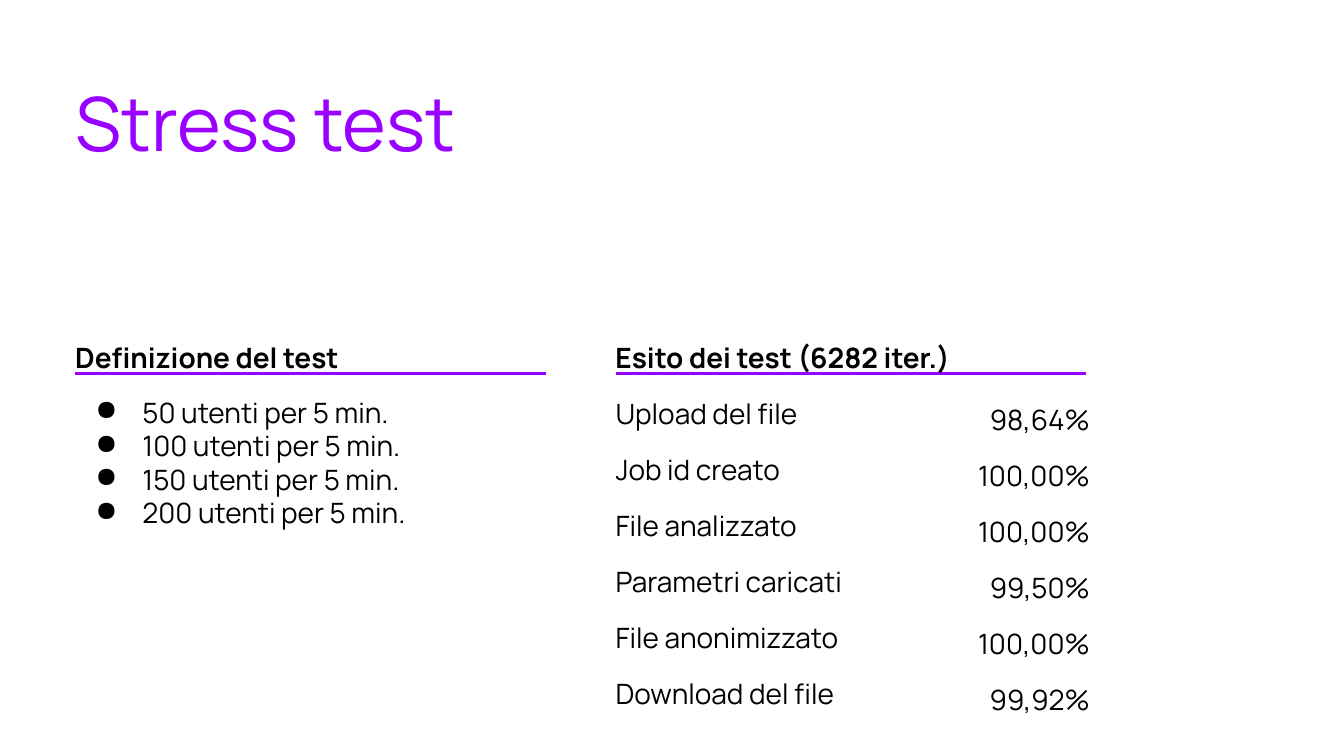
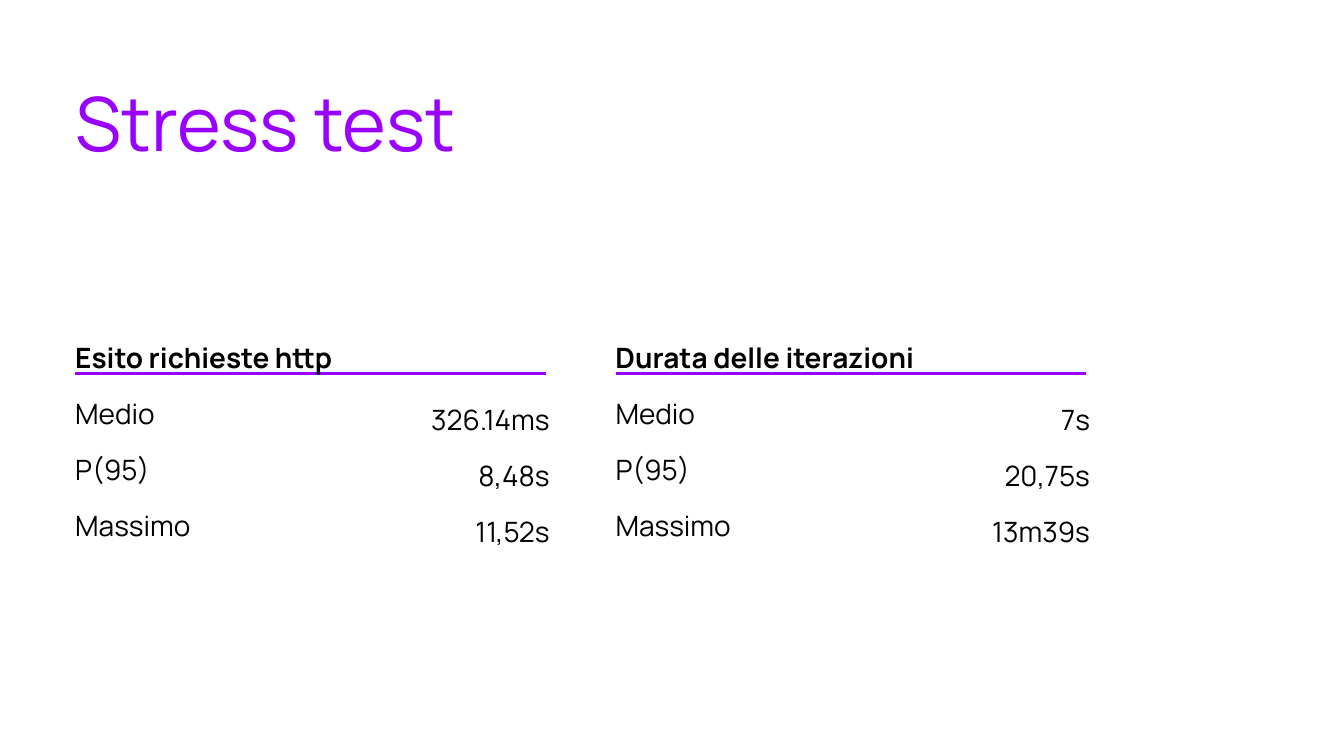
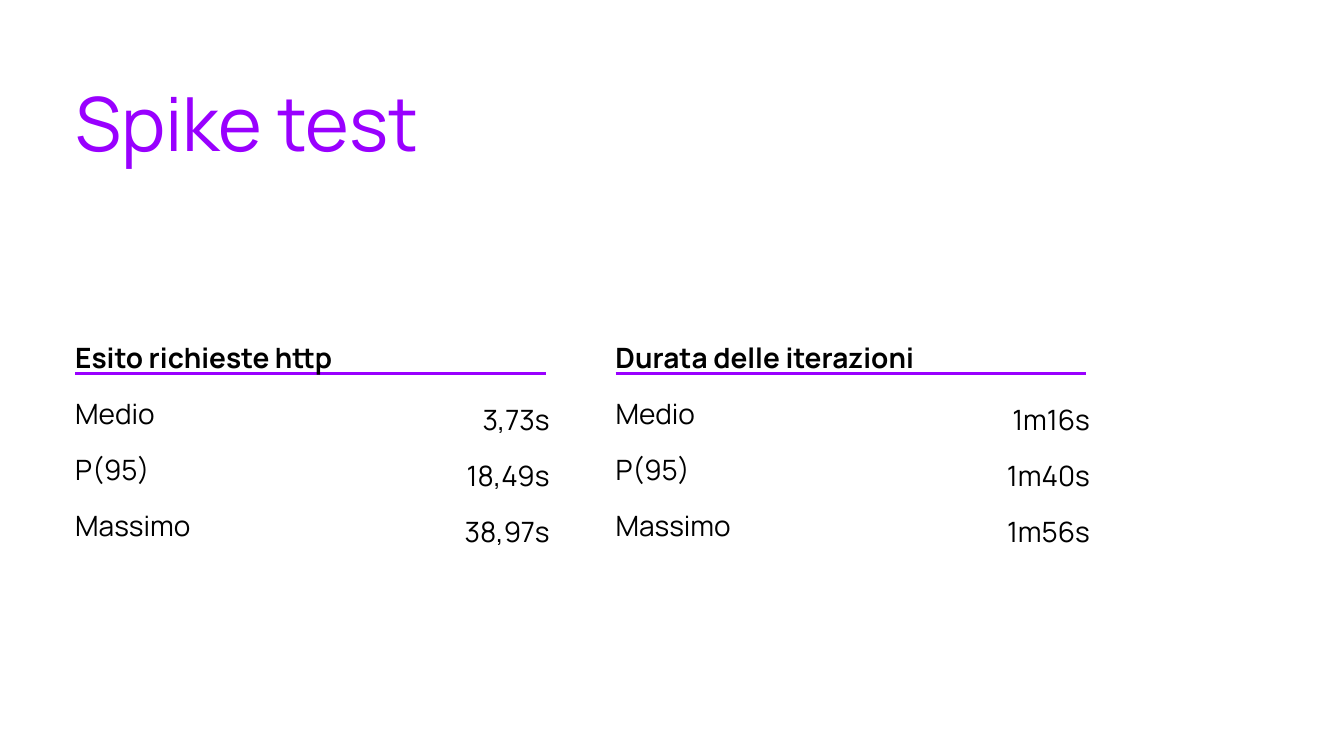
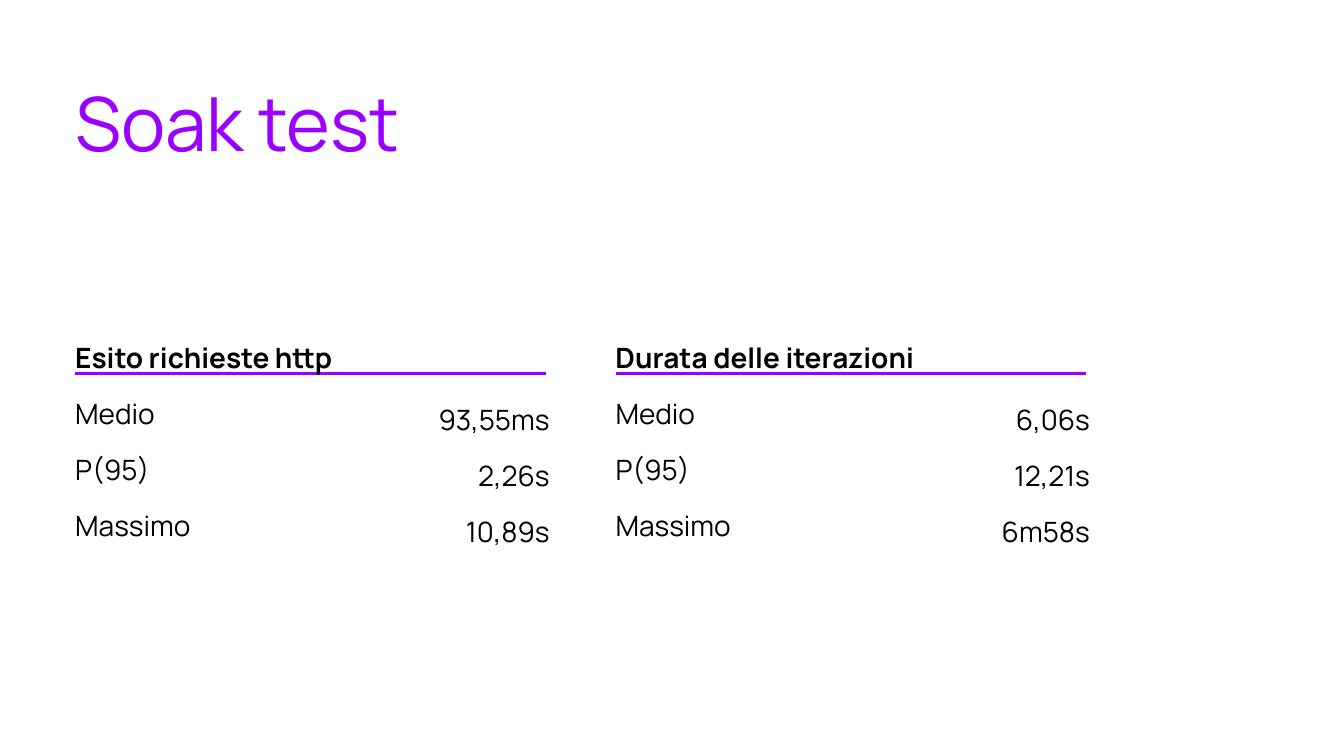
from lxml import etree
from pptx import Presentation
from pptx.dml.color import RGBColor
from pptx.enum import shapes, text
from pptx.oxml import ns
from pptx.util import Pt

FONT = "Manrope"
PURPLE, BLACK, WHITE = "9900FF", "000000", "FFFFFF"
TITLE_SIZE, BODY_SIZE = 40, 15

# Shared layout, in points
LEFT, COLUMN_STEP, COLUMN_WIDTH = 40.32, 289.44, 254.16
TITLE_BOX = (LEFT, 41, 541.5, 88)
HEADING_TOP, HEADING_HEIGHT = 162.7, 37.45
RULE_WIDTH = 252
CONTENT_TOP, CONTENT_HEIGHT = 211.7, 269.3
ROW_HEIGHT = 30
OUTCOME_LABEL_WIDTH, TIMING_LABEL_WIDTH = 179.5, 86


def color(hex_value):
    return RGBColor.from_string(hex_value)


def style(paragraph, size=BODY_SIZE, ink=BLACK, bold=False):
    font = paragraph.font
    font.name, font.size, font.bold = FONT, Pt(size), bold
    font.color.rgb = color(ink)


def add_text(slide, box, lines):
    """Place a margin-free text frame and return it."""
    frame = slide.shapes.add_textbox(*map(Pt, box)).text_frame
    frame.word_wrap = True
    frame.margin_left = frame.margin_right = frame.margin_top = frame.margin_bottom = 0
    frame.text = "\n".join(lines)
    return frame


def add_title(slide, box, title):
    style(add_text(slide, box, [title]).paragraphs[0], TITLE_SIZE, PURPLE)


def add_heading(slide, box, heading):
    """Bold heading sitting on a purple rule."""
    left, top, _, height = box
    bottom = top + height
    rule = slide.shapes.add_connector(
        shapes.MSO_CONNECTOR.STRAIGHT,
        Pt(left), Pt(bottom), Pt(left + RULE_WIDTH), Pt(bottom))
    rule.line.color.rgb = color(PURPLE)
    rule.line.width = Pt(1.5)
    etree.SubElement(rule._element.spPr, ns.qn("a:effectLst"))

    frame = add_text(slide, box, [heading])
    frame.vertical_anchor = text.MSO_ANCHOR.BOTTOM
    paragraph = frame.paragraphs[0]
    paragraph.line_spacing = 1.15
    paragraph.space_after = Pt(8)
    style(paragraph, bold=True)


def add_bullets(slide, box, items):
    for paragraph in add_text(slide, box, items).paragraphs:
        props = paragraph._p.get_or_add_pPr()
        props.set("marL", str(Pt(36)))
        props.set("indent", str(-Pt(25.2)))
        bullet_color = etree.SubElement(props, ns.qn("a:buClr"))
        etree.SubElement(bullet_color, ns.qn("a:srgbClr"), val=BLACK)
        etree.SubElement(props, ns.qn("a:buChar"), char="●")
        style(paragraph)


def add_results(slide, box, rows, label_width):
    """Two-column table: labels on the left, values right-aligned."""
    left, top, width, _ = box
    table = slide.shapes.add_table(
        len(rows), 2, Pt(left), Pt(top), Pt(width), Pt(ROW_HEIGHT * len(rows))).table
    table.first_row = table.horz_banding = False
    table.columns[0].width = Pt(label_width)
    table.columns[1].width = Pt(width - label_width)
    for r, row in enumerate(rows):
        for c, entry in enumerate(row):
            cell = table.cell(r, c)
            cell.fill.background()
            cell.margin_left = cell.margin_right = cell.margin_top = cell.margin_bottom = 0
            cell.text = entry
            paragraph = cell.text_frame.paragraphs[0]
            if c == 1:
                paragraph.alignment = text.PP_ALIGN.RIGHT
                paragraph.line_spacing = 1.15
            style(paragraph)


def add_test_slide(prs, title, headings):
    """Start a slide with its title and headings; return it and its content boxes."""
    slide = prs.slides.add_slide(prs.slide_layouts[6])
    slide.background.fill.solid()
    slide.background.fill.fore_color.rgb = color(WHITE)
    add_title(slide, TITLE_BOX, title)
    content_boxes = []
    for i, heading in enumerate(headings):
        left = LEFT + i * COLUMN_STEP
        add_heading(slide, (left, HEADING_TOP, COLUMN_WIDTH, HEADING_HEIGHT), heading)
        content_boxes.append((left, CONTENT_TOP, COLUMN_WIDTH, CONTENT_HEIGHT))
    return slide, content_boxes


def add_outcome_slide(prs, title, loads, iterations, outcomes):
    slide, (load_box, outcome_box) = add_test_slide(
        prs, title, ["Definizione del test", f"Esito dei test ({iterations} iter.)"])
    add_bullets(slide, load_box, [f"{users} utenti per 5 min." for users in loads])
    add_results(slide, outcome_box, outcomes, OUTCOME_LABEL_WIDTH)


def add_timing_slide(prs, title, requests, iterations):
    slide, boxes = add_test_slide(
        prs, title, ["Esito richieste http", "Durata delle iterazioni"])
    for box, times in zip(boxes, (requests, iterations)):
        rows = list(zip(("Medio", "P(95)", "Massimo"), times))
        add_results(slide, box, rows, TIMING_LABEL_WIDTH)


def main():
    prs = Presentation()
    prs.slide_width, prs.slide_height = Pt(720), Pt(405)
    add_outcome_slide(prs, "Stress test", (50, 100, 150, 200), 6282, [
        ("Upload del file", "98,64%"),
        ("Job id creato", "100,00%"),
        ("File analizzato", "100,00%"),
        ("Parametri caricati", "99,50%"),
        ("File anonimizzato", "100,00%"),
        ("Download del file", "99,92%"),
    ])
    add_timing_slide(prs, "Stress test",
                     ("326.14ms", "8,48s", "11,52s"), ("7s", "20,75s", "13m39s"))
    add_timing_slide(prs, "Spike test",
                     ("3,73s", "18,49s", "38,97s"), ("1m16s", "1m40s", "1m56s"))
    add_timing_slide(prs, "Soak test",
                     ("93,55ms", "2,26s", "10,89s"), ("6,06s", "12,21s", "6m58s"))
    prs.save("out.pptx")


if __name__ == "__main__":
    main()
